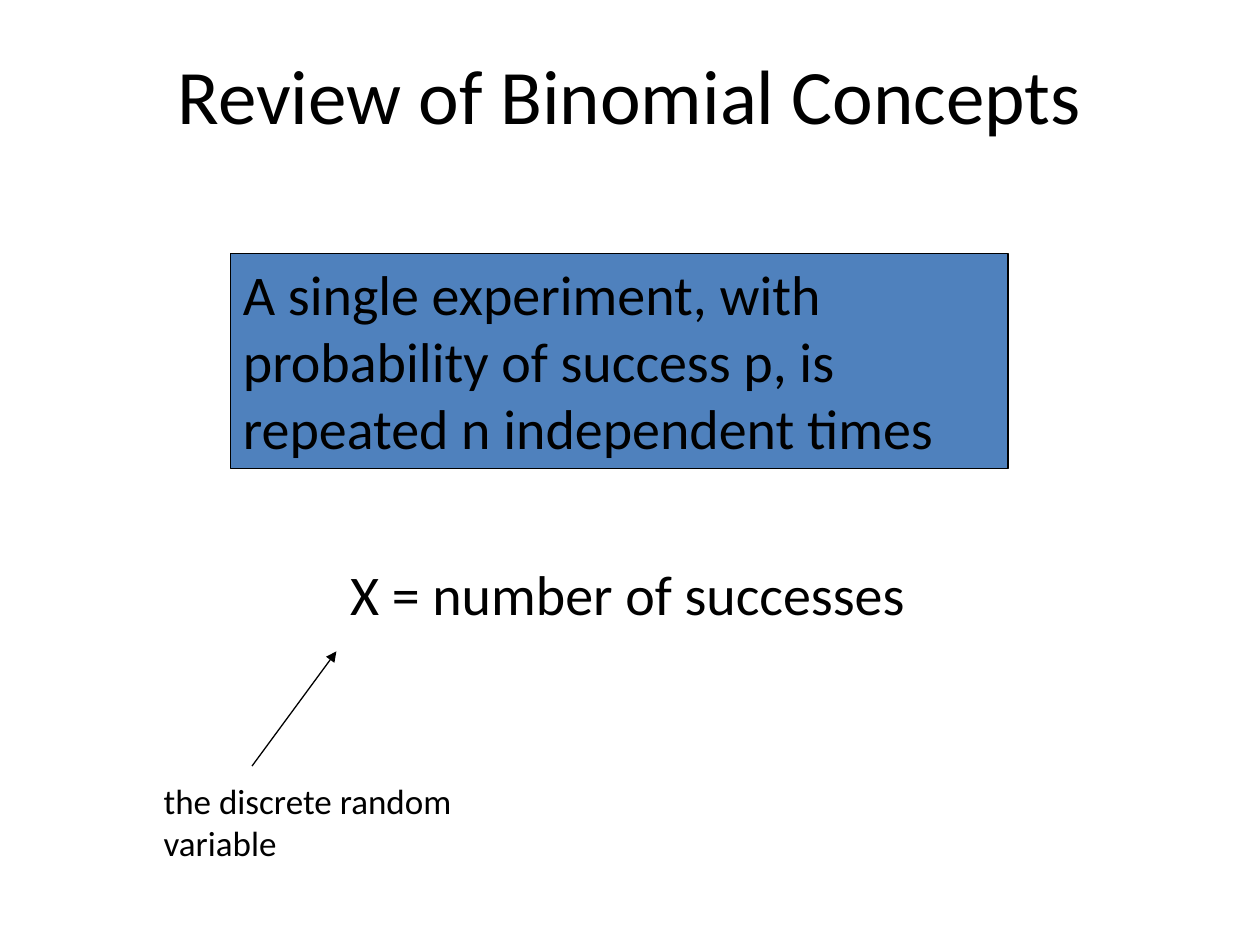
from dataclasses import dataclass

from lxml import etree
from pptx import Presentation
from pptx.dml import color
from pptx.enum import shapes, text
from pptx.oxml import ns
from pptx.util import Inches, Pt

FONT = "Calibri"
BLACK = "000000"
BLUE = "4F81BD"


@dataclass
class Label:
    wording: str
    left: float
    top: float
    width: float
    height: float
    size: int
    wrap: bool = True
    align: text.PP_ALIGN = text.PP_ALIGN.LEFT
    anchor: text.MSO_ANCHOR = text.MSO_ANCHOR.TOP
    fill: str | None = None


def rgb(hex_color: str) -> color.RGBColor:
    return color.RGBColor.from_string(hex_color)


def draw_outline(line) -> None:
    line.color.rgb = rgb(BLACK)
    line.width = Pt(0.75)


def draw_label(parent, label: Label) -> None:
    """Draw a text box, or an outlined rectangle if the label has a fill."""
    place = [Inches(v) for v in (label.left, label.top, label.width, label.height)]
    if label.fill:
        box = parent.add_shape(shapes.MSO_SHAPE.RECTANGLE, *place)
        box.shadow.inherit = False
        box.fill.solid()
        box.fill.fore_color.rgb = rgb(label.fill)
        draw_outline(box.line)
    else:
        box = parent.add_textbox(*place)
    frame = box.text_frame
    frame.word_wrap = label.wrap
    frame.vertical_anchor = label.anchor
    paragraph = frame.paragraphs[0]
    paragraph.alignment = label.align
    run = paragraph.add_run()
    run.text = label.wording
    run.font.name = FONT
    run.font.size = Pt(label.size)
    run.font.color.rgb = rgb(BLACK)


def draw_arrow(parent, start: tuple[float, float], end: tuple[float, float]) -> None:
    ends = [Inches(v) for v in (*start, *end)]
    arrow = parent.add_connector(shapes.MSO_CONNECTOR.STRAIGHT, *ends)
    draw_outline(arrow.line)
    etree.SubElement(arrow.line._get_or_add_ln(), ns.qn("a:tailEnd"), type="triangle")
    etree.SubElement(arrow._element.spPr, ns.qn("a:effectLst"))


TITLE = Label("Review of Binomial Concepts", 0.75, 0.33, 8.5, 0.83, 44,
              align=text.PP_ALIGN.CENTER, anchor=text.MSO_ANCHOR.MIDDLE)
EXPERIMENT = Label("A single experiment, with probability of success p, "
                   "is repeated n independent times",
                   1.83, 2.01, 6.17, 1.71, 32, fill=BLUE)
SUCCESSES = Label("X = number of successes", 2.68, 4.39, 4.65, 0.63, 32, wrap=False)
VARIABLE_NOTE = Label("the discrete random variable", 1.2, 6.14, 3.35, 0.43, 20)


def main() -> None:
    presentation = Presentation()
    presentation.slide_width = Inches(10)
    presentation.slide_height = Inches(7.5)
    slide = presentation.slides.add_slide(presentation.slide_layouts[6])

    for label in (TITLE, EXPERIMENT, SUCCESSES):
        draw_label(slide.shapes, label)

    callout = slide.shapes.add_group_shape().shapes
    draw_label(callout, VARIABLE_NOTE)
    draw_arrow(callout, (2, 6.08), (2.67, 5.17))

    presentation.save("out.pptx")


if __name__ == "__main__":
    main()
